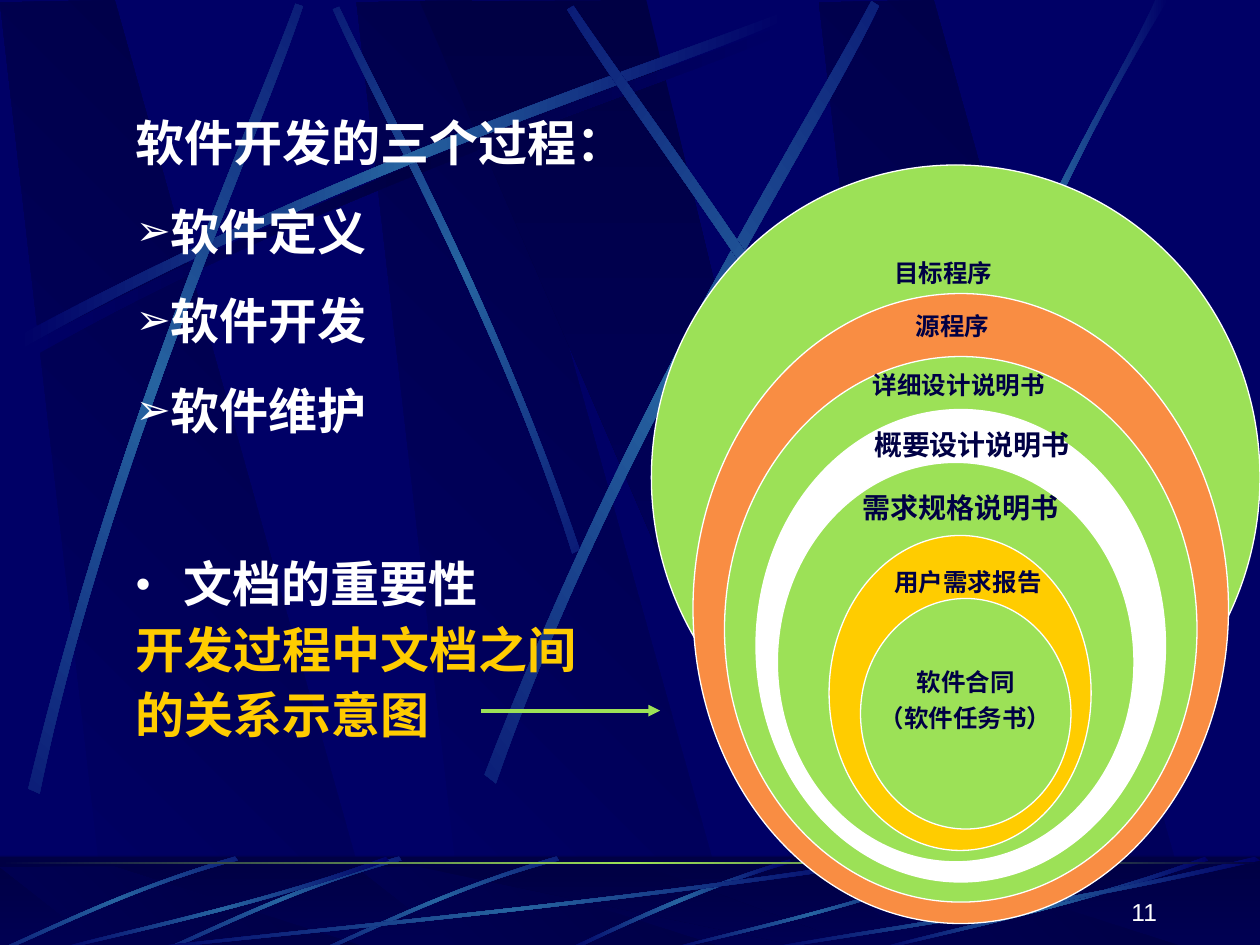
import math
import pptx
import pptx.dml.color
import pptx.enum.shapes
import pptx.enum.text
import pptx.oxml
import pptx.oxml.ns
import pptx.util
from lxml import etree
from pptx.util import Inches

THEME = {
    "navy": "000066", "dark": "000044", "streak": "2663A0", "green": "9CE157",
    "orange": "F98D43", "gold": "FFCC00", "white": "FFFFFF",
    "latin": "Arial", "serif": "Times New Roman",
    "heading": 28, "large": 16, "small": 14,
}

# Content: text, colour, bullet, hanging indent
PROCESSES = [("软件开发的三个过程：", "white", None, 0)] + [
    (name, "white", "➢", 0) for name in ("软件定义", "软件开发", "软件维护")]
DOCUMENTS = [
    ("文档的重要性", "white", "•", 0.38),
    ("开发过程中文档之间", "gold", None, 0.38),
    ("的关系示意图", "gold", None, 0.38),
]
CONTRACT = ["软件合同", "（软件任务书）"]

# Nested ellipses, outermost first: left, top, width, height, colour
RINGS = [
    (5.17, 1.31, 4.83, 4.96, "green"), (5.5, 2.33, 4.25, 5, "orange"),
    (5.75, 2.83, 3.75, 4.33, "green"), (6, 3.25, 3.25, 3.75, "white"),
    (6.17, 3.67, 2.83, 3.17, "green"), (6.58, 4.25, 2.08, 2.5, "gold"),
    (6.83, 4.75, 1.67, 1.83, "green"),
]
RING_LABELS = [
    ("目标程序", 7, 2, 1.2, "small"), ("源程序", 7.17, 2.42, 0.95, "small"),
    ("详细设计说明书", 6.83, 2.89, 1.6, "small"),
    ("概要设计说明书", 6.84, 3.34, 1.8, "large"),
    ("需求规格说明书", 6.75, 3.84, 1.8, "large"),
    ("用户需求报告", 7, 4.45, 1.42, "small"),
]

# Backdrop outlines
PILLAR = [(0.86, 7.5), (3.02, 7.52), (0.91, 0), (0, 0.02)]
BEAM = [(3.33, 0.01), (6.58, 7.51), (6.94, 7.51), (5.13, 0)]
# A streak is two cubic curves: four control points out, four back
SWEEP = [(0.14, 2.67), (2.78, 1.25), (5.18, 0.51), (6.2, 0.1),
         (6.23, 0.16), (5.22, 0.61), (2.48, 1.43), (0.17, 2.77)]
WALL_STREAKS = [  # control points, rotation
    ([(4.6, 4.36), (3.91, 2.34), (3.02, 0.77), (2.69, 0.05),
      (2.64, 0.07), (2.95, 0.79), (3.98, 2.58), (4.54, 4.39)], 45),
    (SWEEP, 0),
    ([(0.23, 6.25), (0.93, 3.34), (1.97, 1.05), (2.35, 0.02),
      (2.41, 0.04), (2.07, 1.08), (0.86, 3.68), (0.32, 6.29)], 311.7),
    ([(3.85, 6.14), (4.98, 3.2), (6.38, 1.02), (6.92, 0),
      (6.98, 0.04), (6.49, 1.08), (4.86, 3.55), (3.94, 6.21)], 321.6),
    ([(8.06, 5.6), (6.7, 2.93), (5.16, 0.95), (4.55, 0.04),
      (4.5, 0.07), (5.07, 1.01), (6.85, 3.25), (7.99, 5.66)], 34.8),
    ([(7.38, 3.93), (8.14, 1.73), (8.88, 0.66), (9.17, 0),
      (9.27, 0), (8.36, 1.45), (7.69, 3.22), (7.44, 3.97)], 0),
]
FLOOR_ARC = [(6.27, 6.82), (5.37, 7.09), (4.77, 7.42), (4.48, 7.54),
             (4.53, 7.55), (4.9, 7.37), (5.71, 7), (6.28, 6.85)]
FLOOR_TURNED = [(4.42, 6.8), (3.55, 7.05), (2.87, 7.4), (2.56, 7.53),
                (2.57, 7.55), (2.88, 7.43), (3.65, 7.03), (4.44, 6.83)]
TURNED_SHIFTS = [0, -1.25, -2.55]
FLOOR_UNIT = [(1, 0.04), (0.57, 0.57), (0.17, 0.85), (0.01, 1),
              (0, 0.99), (0.16, 0.81), (0.61, 0.51), (0.99, 0)]
FLOOR_SPANS = [(1, 6.8, 6.17, 0.75), (0.42, 6.8, 2.67, 0.75), (5.27, 6.89, 2.31, 0.66),
               (6.92, 6.8, 2.67, 0.75), (6, 6.8, 4, 0.75)]

presentation = pptx.Presentation()
presentation.slide_width, presentation.slide_height = Inches(10), Inches(7.5)
slide = presentation.slides.add_slide(presentation.slide_layouts[6])
shapes = slide.shapes
qn = pptx.oxml.ns.qn


def color(name):
    return pptx.dml.color.RGBColor.from_string(THEME[name])


def paint(shape, fill, angle=0, line=None):
    """Fill with one colour name, or with a list of evenly spaced gradient stops."""
    shape.shadow.inherit = False
    if isinstance(fill, str):
        shape.fill.solid()
        shape.fill.fore_color.rgb = color(fill)
    else:
        shape.fill.gradient()
        gradient = shape._element.spPr.find(qn("a:gradFill"))
        stops = gradient.find(qn("a:gsLst"))
        for stop in list(stops):
            stops.remove(stop)
        for index, name in enumerate(fill):
            position = str(100000 * index // (len(fill) - 1))
            stop = etree.SubElement(stops, qn("a:gs"), pos=position)
            etree.SubElement(stop, qn("a:srgbClr"), val=THEME[name])
        gradient.find(qn("a:lin")).set("ang", str(angle * 60000))
    if line:
        shape.line.color.rgb = color(line)
        shape.line.width = pptx.util.Pt(0.75)
    else:
        shape.line.fill.background()
    return shape


def box(kind, left, top, width, height, *look, **more):
    shape_type = getattr(pptx.enum.shapes.MSO_SHAPE, kind)
    shape = shapes.add_shape(shape_type, *map(Inches, (left, top, width, height)))
    return paint(shape, *look, **more)


def outline(points, fill, angle=0, rotation=0):
    """Draw a closed outline; a turned one is laid flat first, then rotated."""
    middle_x, middle_y = ((min(axis) + max(axis)) / 2 for axis in zip(*points))
    cosine, sine = math.cos(math.radians(rotation)), math.sin(math.radians(rotation))
    flat = [(Inches(middle_x + (x - middle_x) * cosine + (y - middle_y) * sine),
             Inches(middle_y - (x - middle_x) * sine + (y - middle_y) * cosine))
            for x, y in points]
    builder = shapes.build_freeform(*flat[0])
    builder.add_line_segments(flat[1:], close=True)
    shape = paint(builder.convert_to_shape(), fill, angle)
    shape.rotation = rotation
    return shape


def streak(controls, rotation=0, middle="streak"):
    """Outline the control points, then bend both long sides into cubic curves."""
    shape = outline(controls, ["navy", middle, "navy"], rotation=rotation)
    segments = list(shape._element.iter(qn("a:lnTo")))
    for side in (segments[:3], segments[4:7]):
        bend = etree.Element(qn("a:cubicBezTo"))
        side[0].addprevious(bend)
        for segment in side:
            bend.append(segment[0])
            segment.getparent().remove(segment)


def place(points, left=0, top=0, width=1, height=1):
    return [(left + x * width, top + y * height) for x, y in points]


def pillars(top, height):
    for left in (2.83, 0, 6.5):
        outline(place(PILLAR, left, top, 1, height), ["navy", "dark"], 315)
    outline(place(BEAM, 0, top, 1, height), ["dark", "navy"], 90)


def write(frame, lines, size, latin="latin", bold=True, **format_values):
    """Write lines of (text, colour, bullet, hanging indent)."""
    frame.word_wrap = True
    for index, (text, ink, bullet, indent) in enumerate(lines):
        paragraph = frame.paragraphs[0] if index == 0 else frame.add_paragraph()
        properties = paragraph._p.get_or_add_pPr()
        properties.set("marL", str(Inches(indent)))
        properties.set("indent", str(-Inches(indent)))
        if bullet:
            bullet_color = etree.SubElement(properties, qn("a:buClr"))
            etree.SubElement(bullet_color, qn("a:srgbClr"), val=THEME["white"])
            etree.SubElement(properties, qn("a:buSzPct"), val="85000")
            etree.SubElement(properties, qn("a:buFont"), typeface=THEME["latin"])
            etree.SubElement(properties, qn("a:buChar"), char=bullet)
        for name, value in format_values.items():
            if index or name != "space_before":
                setattr(paragraph, name, value)
        run = paragraph.add_run()
        run.text = text
        font = {"size": pptx.util.Pt(THEME[size]), "name": THEME[latin], "bold": bold}
        for name, value in font.items():
            setattr(run.font, name, value)
        run.font.color.rgb = color(ink)


def textbox(left, top, width, height, *content, **format_values):
    shape = shapes.add_textbox(*map(Inches, (left, top, width, height)))
    write(shape.text_frame, *content, **format_values)
    return shape.text_frame


# Backdrop wall
slide.background.fill.solid()
slide.background.fill.fore_color.rgb = color("navy")
pillars(0, 1)
streak(place(SWEEP, 0.06, 0.08), middle="dark")
for controls, rotation in WALL_STREAKS:
    streak(controls, rotation)

# Backdrop floor
box("RECTANGLE", 0, 6.8, 10, 0.75, ["dark", "navy"], 90)
pillars(6.88, 0.09)
veil = box("RECTANGLE", 0, 6.79, 10, 0.75, "dark")
veil_color = veil._element.spPr.find(qn("a:solidFill")).find(qn("a:srgbClr"))
etree.SubElement(veil_color, qn("a:alpha"), val="50000")
streak(FLOOR_ARC)
for shift in TURNED_SHIFTS:
    streak(place(FLOOR_TURNED, shift), 314.9)
for span in FLOOR_SPANS:
    streak(place(FLOOR_UNIT, *span))
box("RECTANGLE", 0, 6.84, 10, 0.02, ["dark", "green", "dark"])

# Nested document rings and their labels
for *area, fill in RINGS:
    core = box("OVAL", *area, fill, line="white")
core.text_frame.vertical_anchor = pptx.enum.text.MSO_ANCHOR.MIDDLE
core.text_frame.margin_bottom = Inches(0.27)
write(core.text_frame, [(text, "dark", None, 0) for text in CONTRACT], "small",
      alignment=pptx.enum.text.PP_ALIGN.CENTER, space_before=pptx.util.Pt(3.5))
core.text_frame.word_wrap = False
for text, left, top, width, size in RING_LABELS:
    textbox(left, top, width, 0.35, [(text, "dark", None, 0)], size)

# Left column text
textbox(0.98, 0.84, 4.09, 2.7, PROCESSES, "heading", "serif",
        space_before=pptx.util.Pt(17.5))
textbox(0.98, 4.4, 4.25, 1.6, DOCUMENTS, "heading",
        line_spacing=0.9, space_before=pptx.util.Pt(7))

# Arrow to the rings
arrow = shapes.add_connector(pptx.enum.shapes.MSO_CONNECTOR.STRAIGHT,
                             *map(Inches, (3.82, 5.64, 5.24, 5.64)))
arrow.line.color.rgb = color("green")
arrow.line.width = pptx.util.Pt(2.25)
etree.SubElement(arrow.line._get_or_add_ln(), qn("a:tailEnd"), type="triangle")
etree.SubElement(arrow._element.spPr, qn("a:effectLst"))

# Slide number
number = textbox(7.2, 6.9, 2.08, 0.5, [("11", "white", None, 0)], "small", "latin", False,
                 alignment=pptx.enum.text.PP_ALIGN.RIGHT)
number.vertical_anchor = pptx.enum.text.MSO_ANCHOR.BOTTOM

presentation.save("out.pptx")
